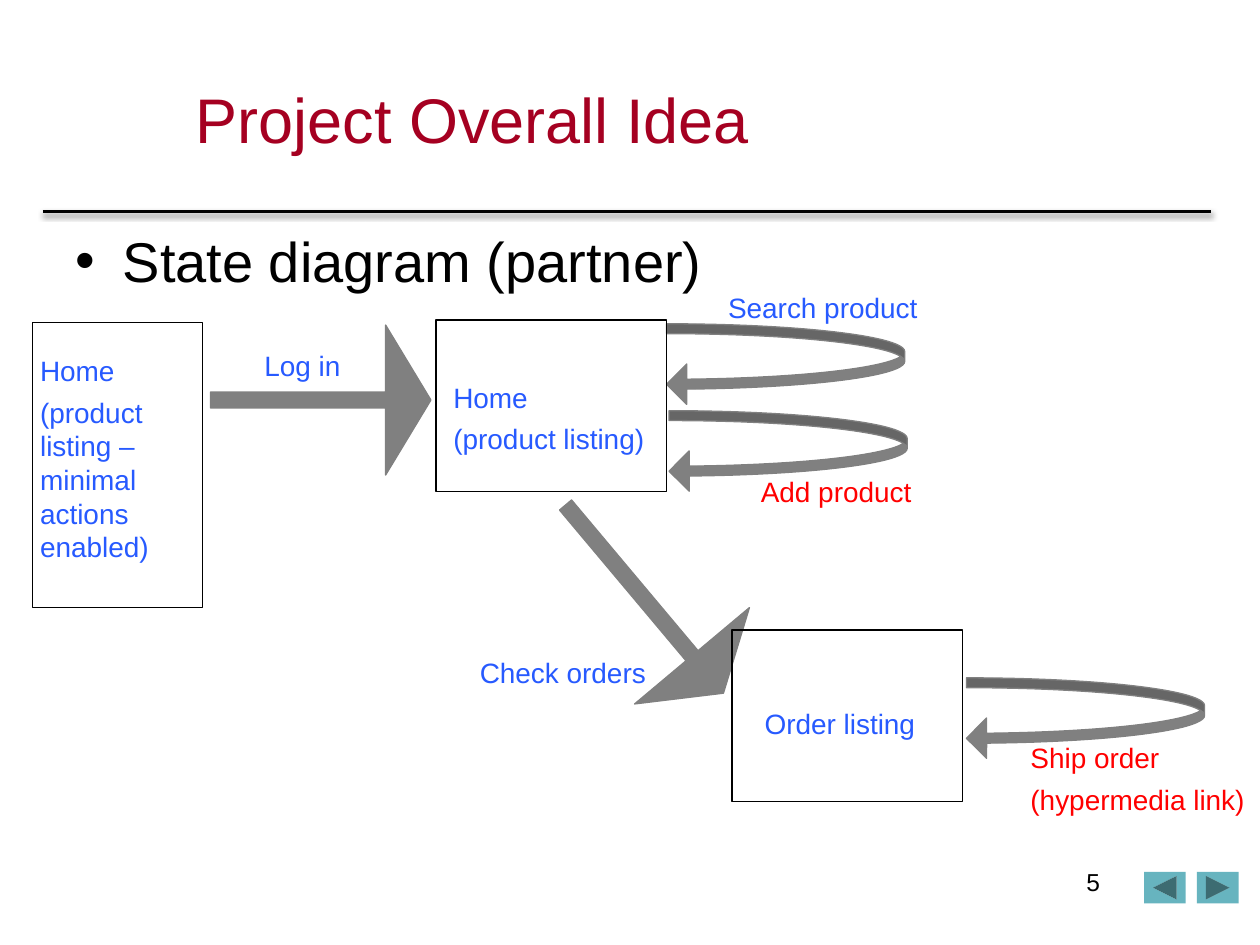
from lxml import etree
from pptx import Presentation
from pptx.dml.color import RGBColor
from pptx.enum.shapes import MSO_CONNECTOR, MSO_SHAPE
from pptx.enum.text import MSO_ANCHOR, MSO_AUTO_SIZE, PP_ALIGN
from pptx.oxml import parse_xml
from pptx.oxml.ns import nsdecls, qn
from pptx.util import Inches, Pt

RECT = MSO_SHAPE.RECTANGLE
ARROW = MSO_SHAPE.RIGHT_ARROW
LOOP = MSO_SHAPE.CURVED_LEFT_ARROW
NEXT = MSO_SHAPE.ACTION_BUTTON_FORWARD_OR_NEXT
LINE = MSO_CONNECTOR.STRAIGHT
LEFT, CENTER, RIGHT = PP_ALIGN.LEFT, PP_ALIGN.CENTER, PP_ALIGN.RIGHT
TOP, MIDDLE = MSO_ANCHOR.TOP, MSO_ANCHOR.MIDDLE
NO_FIT = MSO_AUTO_SIZE.NONE

FONT = "Arial"
COLORS = {"title": "A50021", "ink": "000000", "blue": "275AFF",
          "red": "FF0000", "gray": "808080", "teal": "67B4BF"}

SHADOW = f"""<a:effectLst {nsdecls("a")}>
  <a:outerShdw blurRad="{Pt(3.1)}" dist="{Pt(1.6)}" dir="5400000">
    <a:srgbClr val="{COLORS["ink"]}"><a:alpha val="38000"/></a:srgbClr>
  </a:outerShdw>
</a:effectLst>"""


def color(name):
    return RGBColor.from_string(COLORS[name])


def write(frame, *lines, size=16, tint="blue", align=LEFT, anchor=TOP,
          after=0, wrap=True):
    """Fill a text frame with one paragraph per line."""
    frame.auto_size = NO_FIT
    frame.word_wrap = wrap
    frame.vertical_anchor = anchor
    for i, line in enumerate(lines):
        para = frame.add_paragraph() if i else frame.paragraphs[0]
        para.alignment = align
        para.space_after = Pt(after)
        run = para.add_run()
        run.text = line
        run.font.size = Pt(size)
        run.font.name = FONT
        run.font.color.rgb = color(tint)


class Board:
    """The current slide and the look of its parts."""

    def __init__(self, deck):
        self.slide = deck.slides.add_slide(deck.slide_layouts[1])
        self.shapes = self.slide.shapes

    def holder(self, index, box, text, **look):
        item = self.slide.placeholders[index]
        item.left, item.top, item.width, item.height = map(Inches, box)
        write(item.text_frame, text, **look)

    def text(self, box, *lines, **look):
        item = self.shapes.add_textbox(*map(Inches, box))
        write(item.text_frame, *lines, **look)

    def label(self, box, *lines, **look):
        self.text(box, *lines, **{"after": 4.5, "wrap": False, **look})

    def shape(self, kind, box, fill=None, line=None, turn=0, adjust=()):
        item = self.shapes.add_shape(kind, *map(Inches, box))
        item.shadow.inherit = False
        item.rotation = turn
        for i, value in enumerate(adjust):
            item.adjustments[i] = value
        if fill:
            item.fill.solid()
            item.fill.fore_color.rgb = color(fill)
        else:
            item.fill.background()
        if line:
            item.line.color.rgb = color(line)
            item.line.width = Pt(0.75)
        else:
            item.line.fill.background()

    def state(self, left, top, width=1.83, height=1.36):
        self.shape(RECT, (left, top, width, height), line="ink")

    def arrow(self, box, head, turn=0):
        self.shape(ARROW, box, "gray", "gray", turn, (0.105, head))

    def loop(self, left, top):
        self.shape(LOOP, (left, top, 1.89, 0.64), "gray", "gray",
                   adjust=(0.123, 0.5, 0.25))

    def rule(self, left, right, top):
        item = self.shapes.add_connector(
            LINE, *map(Inches, (left, top, right, top)))
        item.line.color.rgb = color("ink")
        item.line.width = Pt(2)
        props = item._element.find(qn("a:spPr")) or item._element.spPr
        props.append(parse_xml(SHADOW))


def main():
    deck = Presentation()
    deck.slide_width, deck.slide_height = Inches(10), Inches(7.5)
    board = Board(deck)

    board.holder(0, (0.5, 0.3, 6.5, 1.28), "Project Overall Idea",
                 size=36, tint="title", align=CENTER, anchor=MIDDLE)
    board.holder(1, (0.5, 1.75, 9, 0.81), "State diagram (partner)",
                 size=32, tint="ink")
    board.rule(0.34, 9.61, 1.68)
    for left, turn in ((9.08, 180), (9.5, 0)):
        board.shape(NEXT, (left, 6.92, 0.33, 0.25), "teal", turn=turn)
    board.text((6.5, 6.83, 2.33, 0.52), "5",
               size=14, tint="ink", align=RIGHT)

    board.arrow((1.67, 2.58, 1.75, 1.19), 0.302)
    board.arrow((4.14, 4.16, 1.95, 1.19), 0.326, turn=50)
    for spot in ((5.29, 2.57), (5.31, 3.26), (7.67, 5.38)):
        board.loop(*spot)

    board.state(0.26, 2.56, 1.35, 2.26)
    board.state(3.46, 2.54)
    board.state(5.81, 5)

    board.label((0.22, 2.76, 1.5, 1.78), "Home",
                "(product listing – minimal actions enabled)", wrap=True)
    board.label((3.5, 2.97, 1.74, 0.71), "Home", "(product listing)")
    board.label((5.97, 5.56, 1.41, 0.37), "Order listing")
    board.label((2, 2.72, 0.81, 0.37), "Log in")
    board.label((5.68, 2.26, 1.72, 0.37), "Search product")
    board.label((3.71, 5.15, 1.54, 0.37), "Check orders")
    board.label((5.94, 3.72, 1.41, 0.37), "Add product", tint="red")
    board.label((8.08, 5.83, 1.92, 0.71), "Ship order",
                "(hypermedia link)", tint="red")

    deck.save("out.pptx")


if __name__ == "__main__":
    main()
